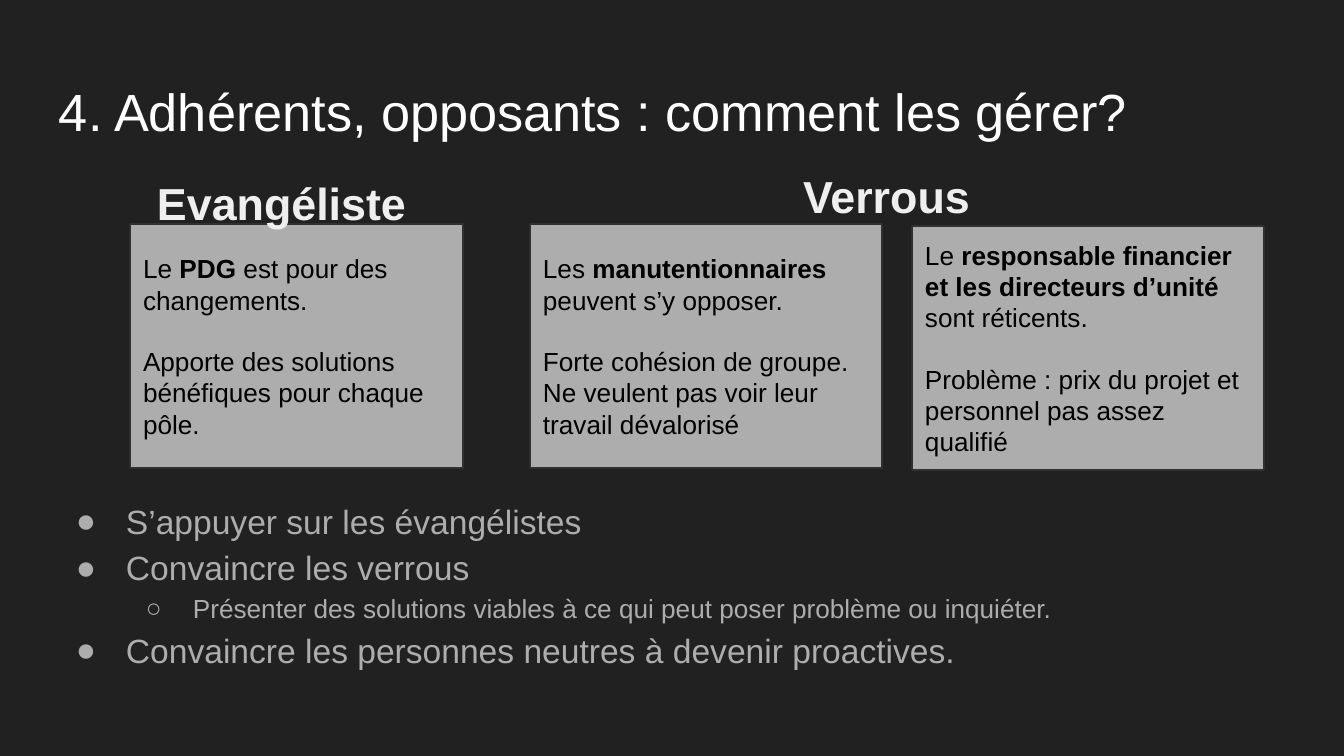
from lxml.etree import SubElement
from pptx import Presentation
from pptx.dml.color import RGBColor
from pptx.enum.shapes import MSO_SHAPE
from pptx.enum.text import MSO_ANCHOR, PP_ALIGN
from pptx.oxml.ns import qn
from pptx.util import Pt

SCALE = 914400 / 134.4
FONT = "Arial"
GREY = "ADADAD"


def px(*lengths):
    return [round(length * SCALE) for length in lengths]


def write(paragraph, text, size, color, bold=False):
    run = paragraph.add_run()
    run.text = text
    looks = {"name": FONT, "size": Pt(size), "bold": bold}
    for key, value in looks.items():
        setattr(run.font, key, value)
    run.font.color.rgb = RGBColor.from_string(color)


prs = Presentation()
prs.slide_width, prs.slide_height = px(1344, 756)
slide = prs.slides.add_slide(prs.slide_layouts[5])
slide.background.fill.solid()
slide.background.fill.fore_color.rgb = RGBColor.from_string("212121")

inset = px(13)[0]
frame_format = {"word_wrap": True, "vertical_anchor": MSO_ANCHOR.TOP,
                "margin_left": inset, "margin_right": inset,
                "margin_top": inset, "margin_bottom": inset}

title = slide.shapes.title
title.left, title.top, title.width, title.height = px(46, 66, 1253, 85)
for key, value in frame_format.items():
    setattr(title.text_frame, key, value)
title.text_frame.paragraphs[0].alignment = PP_ALIGN.LEFT
write(title.text_frame.paragraphs[0],
      "4. Adhérents, opposants : comment les gérer?", 28, "FFFFFF")

actions = slide.shapes.add_textbox(*px(46, 482, 1253, 190)).text_frame
for key, value in frame_format.items():
    setattr(actions, key, value)
levels = [("●", 18, 67, -50), ("○", 14, 134, -47)]
steps = [
    (0, "S’appuyer sur les évangélistes"),
    (0, "Convaincre les verrous"),
    (1, "Présenter des solutions viables à ce qui peut poser problème ou inquiéter."),
    (0, "Convaincre les personnes neutres à devenir proactives."),
]
for index, (level, text) in enumerate(steps):
    step = actions.add_paragraph() if index else actions.paragraphs[0]
    mark, size, margin, indent = levels[level]
    step.level = level
    step.line_spacing = 1.15
    properties = step._p.get_or_add_pPr()
    for key, value in zip(("marL", "indent"), px(margin, indent)):
        properties.set(key, str(value))
    mark_color = SubElement(properties, qn("a:buClr"))
    SubElement(mark_color, qn("a:srgbClr"), val=GREY)
    SubElement(properties, qn("a:buFont"), typeface=FONT)
    SubElement(properties, qn("a:buChar"), char=mark)
    write(step, text, size, GREY)

cards = [
    (130, 224, 333, ("Le ", "PDG", " est pour des changements."),
     "Apporte des solutions bénéfiques pour chaque pôle."),
    (530, 224, 352, ("Les ", "manutentionnaires ", "peuvent s’y opposer."),
     "Forte cohésion de groupe. Ne veulent pas voir leur travail dévalorisé"),
    (912, 226, 352, ("Le ", "responsable financier et les directeurs d’unité",
                     " sont réticents."),
     "Problème : prix du projet et personnel pas assez qualifié"),
]
for left, top, width, stance, reason in cards:
    card = slide.shapes.add_shape(MSO_SHAPE.RECTANGLE, *px(left, top, width, 244))
    card.shadow.inherit = False
    card.fill.solid()
    card.fill.fore_color.rgb = RGBColor.from_string(GREY)
    card.line.color.rgb = RGBColor.from_string("303030")
    card.line.width = Pt(0.75)
    for key, value in (frame_format | {"vertical_anchor": MSO_ANCHOR.MIDDLE}).items():
        setattr(card.text_frame, key, value)
    opening = card.text_frame.paragraphs[0]
    opening.space_after = Pt(16)
    for part, text in enumerate(stance):
        write(opening, text, 14, "000000", bold=part == 1)
    closing = card.text_frame.add_paragraph()
    write(closing, reason, 14, "000000")
    for paragraph in (opening, closing):
        paragraph.alignment = PP_ALIGN.LEFT

headings = [("Evangéliste", 144, 163, 282, 63), ("Verrous", 790, 156, 484, 75)]
for text, *place in headings:
    heading = slide.shapes.add_textbox(*px(*place)).text_frame
    for key, value in frame_format.items():
        setattr(heading, key, value)
    write(heading.paragraphs[0], text, 24, "EFEFEF", bold=True)

prs.save("out.pptx")
